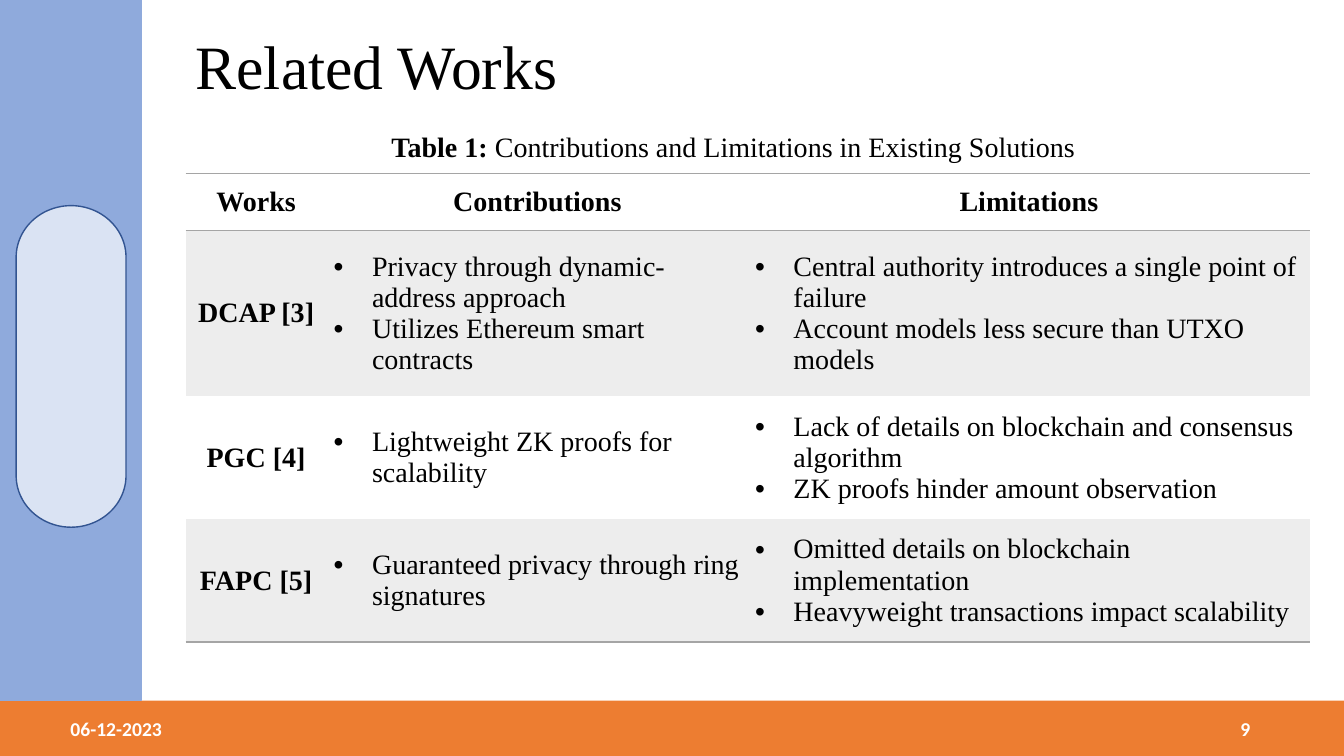
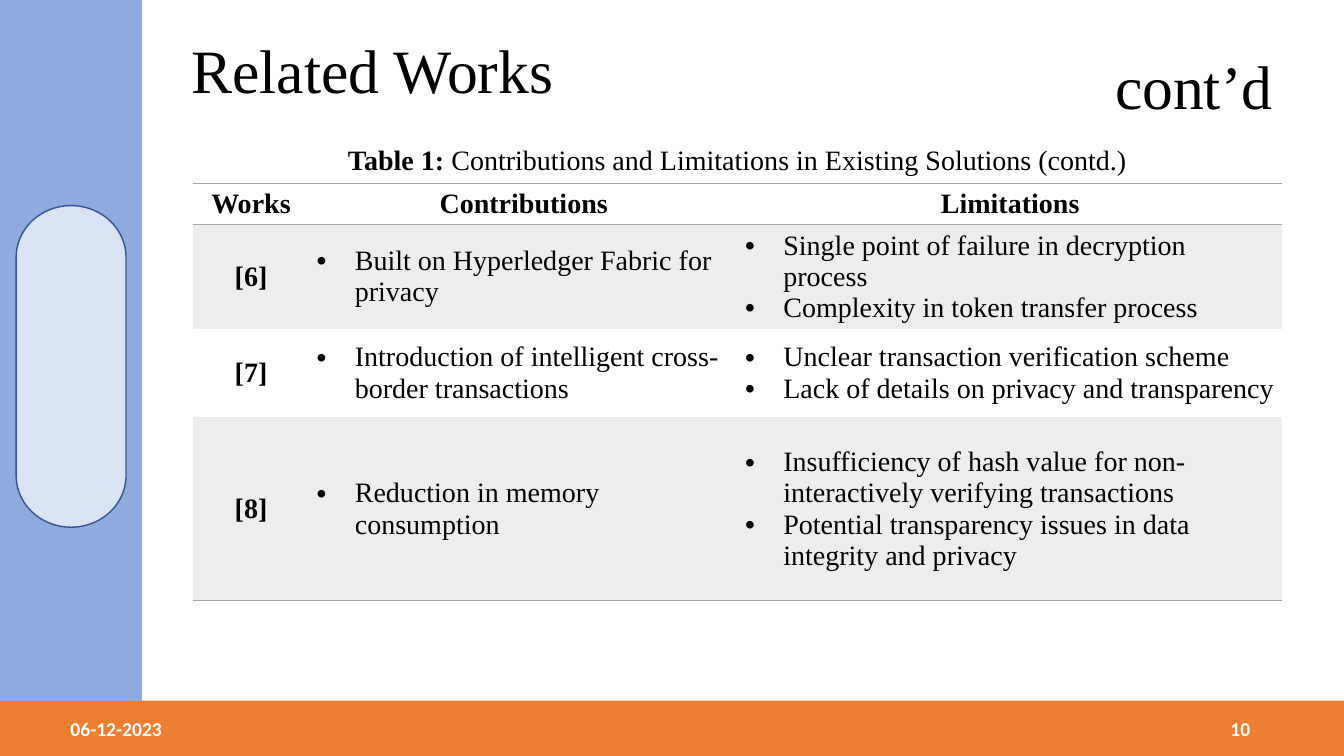
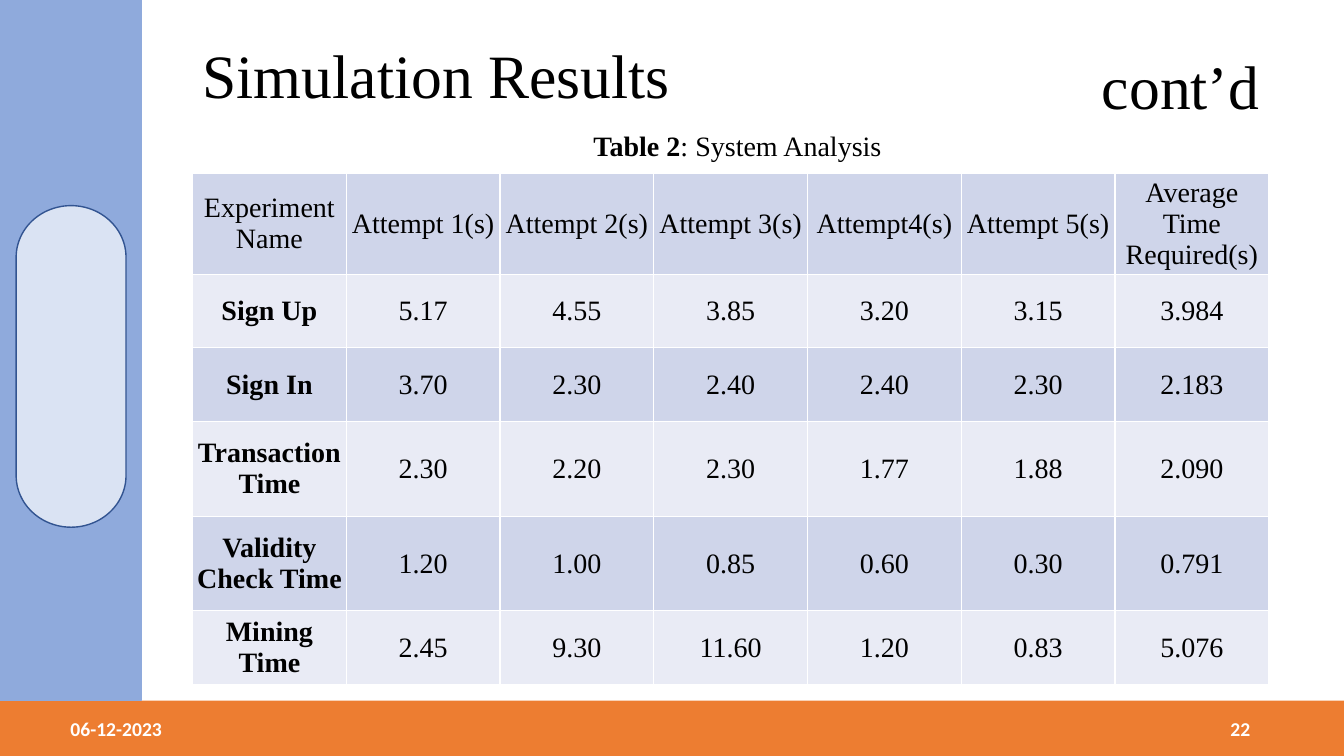
"""Build three table slides on related works and simulation results."""
from lxml.etree import SubElement
from pptx import Presentation
from pptx.dml.color import RGBColor
from pptx.enum.shapes import MSO_SHAPE
from pptx.enum.text import MSO_ANCHOR, MSO_AUTO_SIZE, PP_ALIGN
from pptx.oxml.ns import qn
from pptx.util import Inches, Pt

BLACK = RGBColor(0x00, 0x00, 0x00)
WHITE = RGBColor(0xFF, 0xFF, 0xFF)
ORANGE = RGBColor(0xED, 0x7D, 0x31)
BLUE = RGBColor(0x8F, 0xAA, 0xDC)
PALE = RGBColor(0xDA, 0xE3, 0xF3)
NAVY = RGBColor(0x32, 0x54, 0x91)
GRAY = RGBColor(0xA5, 0xA5, 0xA5)
LIGHT = RGBColor(0xED, 0xED, 0xED)
DARK_BAND = RGBColor(0xCF, 0xD5, 0xEA)
LIGHT_BAND = RGBColor(0xE9, 0xEB, 0xF5)
SERIF, SANS = "Times New Roman", "Calibri"
NO_STYLE = "{2D5ABB26-0587-4C30-8999-92F81FD0307C}"
DATE = "06-12-2023"
HEADS = ("Works", "Contributions", "Limitations")

SLIDES = [
    {
        "page": "9",
        "title": ("Related Works", (1.84, 0.04, 10.66, 1.3)),
        "caption": ("Table 1:", " Contributions and Limitations in Existing Solutions",
                    (2.05, 1.07, 10.45, 0.61)),
        "kind": "works",
        "at": (1.84, 1.72),
        "cols": (1.4, 4.18, 5.57),
        "rows": (0.57, 1.64, 1.22, 1.22),
        "cells": [
            HEADS,
            ("DCAP [3]",
             ["Privacy through dynamic-address approach",
              "Utilizes Ethereum smart contracts"],
             ["Central authority introduces a single point of failure",
              "Account models less secure than UTXO models"]),
            ("PGC [4]",
             ["Lightweight ZK proofs for scalability"],
             ["Lack of details on blockchain and consensus algorithm",
              "ZK proofs hinder amount observation"]),
            ("FAPC [5]",
             ["Guaranteed privacy through ring signatures"],
             ["Omitted details on blockchain implementation",
              "Heavyweight transactions impact scalability"]),
        ],
    },
    {
        "page": "10",
        "title": ("Related Works", (1.8, 0, 5.51, 1.45)),
        "more": 9.74,
        "caption": ("Table 1:",
                    " Contributions and Limitations in Existing Solutions (contd.)",
                    (1.91, 1.2, 10.81, 0.55)),
        "kind": "works",
        "at": (1.91, 1.82),
        "cols": (1.16, 4.25, 5.4),
        "rows": (0.41, 1.03, 0.88, 1.82),
        "cells": [
            HEADS,
            ("[6]",
             ["Built on Hyperledger Fabric for privacy"],
             ["Single point of failure in decryption process",
              "Complexity in token transfer process"]),
            ("[7]",
             ["Introduction of intelligent cross-border transactions"],
             ["Unclear transaction verification scheme",
              "Lack of details on privacy and transparency"]),
            ("[8]",
             ["Reduction in memory consumption"],
             ["Insufficiency of hash value for non-interactively verifying transactions",
              "Potential transparency issues in data integrity and privacy"]),
        ],
    },
    {
        "page": "22",
        "title": ("Simulation Results", (1.91, 0.05, 5.74, 1.45)),
        "more": 9.61,
        "caption": ("Table 2", ": System Analysis", (1.91, 1.06, 10.81, 0.55)),
        "kind": "times",
        "at": (1.91, 1.72),
        "cols": (1.525,) * 7,
        "rows": (0.99, 0.73, 0.73, 0.94, 0.94, 0.73),
        "cells": [
            ("Experiment Name", "Attempt 1(s)", "Attempt 2(s)", "Attempt 3(s)",
             "Attempt4(s)", "Attempt 5(s)", "Average Time Required(s)"),
            ("Sign Up", "5.17", "4.55", "3.85", "3.20", "3.15", "3.984"),
            ("Sign In", "3.70", "2.30", "2.40", "2.40", "2.30", "2.183"),
            ("Transaction Time", "2.30", "2.20", "2.30", "1.77", "1.88", "2.090"),
            ("Validity Check Time", "1.20", "1.00", "0.85", "0.60", "0.30", "0.791"),
            ("Mining Time", "2.45", "9.30", "11.60", "1.20", "0.83", "5.076"),
        ],
    },
]


def write(para, text, size=20, bold=False, font=SERIF, color=BLACK):
    run = para.add_run()
    run.text = text
    run.font.name, run.font.size = font, Pt(size)
    run.font.bold, run.font.color.rgb = bold, color


def add_box(slide, at, align, anchor=MSO_ANCHOR.TOP):
    frame = slide.shapes.add_textbox(*map(Inches, at)).text_frame
    frame.word_wrap, frame.vertical_anchor = True, anchor
    para = frame.paragraphs[0]
    para.alignment = align
    return para


def add_panel(slide, form, at, fill, line=None, turn=0):
    shape = slide.shapes.add_shape(form, *map(Inches, at))
    shape.shadow.inherit = False
    shape.rotation = turn
    shape.fill.solid()
    shape.fill.fore_color.rgb = fill
    if line is None:
        shape.line.fill.background()
    else:
        shape.line.color.rgb, shape.line.width = line, Pt(1)


def add_frame(slide, page):
    add_panel(slide, MSO_SHAPE.RECTANGLE, (0, 6.95, 13.33, 0.55), ORANGE)
    add_panel(slide, MSO_SHAPE.RECTANGLE, (0, 0, 1.4, 6.95), BLUE, BLUE)
    add_panel(slide, MSO_SHAPE.FLOWCHART_TERMINATOR, (-0.89, 3.09, 3.19, 1.09),
              PALE, NAVY, 90)
    for text, left, align in ((DATE, 0.6, PP_ALIGN.LEFT), (page, 9.5, PP_ALIGN.RIGHT)):
        para = add_box(slide, (left, 7.03, 3, 0.4), align, MSO_ANCHOR.MIDDLE)
        write(para, text, 14, True, SANS, WHITE)


def set_title(slide, text, at):
    title = slide.shapes.title
    title.left, title.top, title.width, title.height = map(Inches, at)
    frame = title.text_frame
    frame.auto_size, frame.vertical_anchor = MSO_AUTO_SIZE.NONE, MSO_ANCHOR.MIDDLE
    para = frame.paragraphs[0]
    para.alignment, para.line_spacing = PP_ALIGN.LEFT, 0.9
    write(para, text, 44)


def add_caption(slide, label, text, at):
    para = add_box(slide, at, PP_ALIGN.CENTER)
    para.line_spacing, para.space_after = 1.5, Pt(12)
    write(para, label, bold=True)
    write(para, text)


def set_edges(cell, sides, color):
    props = cell._tc.get_or_add_tcPr()
    for side in sides:
        line = SubElement(props, qn(f"a:ln{side}"), w=str(Pt(1)))
        fill = SubElement(line, qn("a:solidFill"))
        SubElement(fill, qn("a:srgbClr"), val=str(color))


def add_bullet(para):
    props = para._p.get_or_add_pPr()
    props.set("marL", str(Inches(0.38)))
    props.set("indent", str(Inches(-0.38)))
    SubElement(props, qn("a:buFont"), typeface="Arial")
    SubElement(props, qn("a:buChar"), char="•")


def fill_cell(cell, value, bold):
    frame = cell.text_frame
    if isinstance(value, str):
        para = frame.paragraphs[0]
        para.alignment = PP_ALIGN.CENTER
        write(para, value, bold=bold)
        return
    for i, item in enumerate(value):
        para = frame.add_paragraph() if i else frame.paragraphs[0]
        add_bullet(para)
        write(para, item)


def style_cell(cell, kind, row, last):
    if kind == "works":
        sides = "TB" if row == 0 else "B" if row == last else ""
        edge, fill, side = GRAY, LIGHT if row % 2 else None, 0.07
    else:
        sides, edge, side = "LRTB", WHITE, 0.02
        fill = LIGHT_BAND if row % 2 else DARK_BAND
    cell.margin_left = cell.margin_right = Inches(side)
    cell.margin_top = cell.margin_bottom = 0
    cell.vertical_anchor = MSO_ANCHOR.MIDDLE
    set_edges(cell, sides, edge)
    if fill is None:
        cell.fill.background()
    else:
        cell.fill.solid()
        cell.fill.fore_color.rgb = fill


def add_grid(slide, data):
    cols, rows, kind = data["cols"], data["rows"], data["kind"]
    size = (*data["at"], sum(cols), sum(rows))
    table = slide.shapes.add_table(len(rows), len(cols), *map(Inches, size)).table
    table.first_row = table.horz_banding = False
    table._tbl.tblPr.find(qn("a:tableStyleId")).text = NO_STYLE
    for col, width in zip(table.columns, cols):
        col.width = Inches(width)
    for row, height in zip(table.rows, rows):
        row.height = Inches(height)
    for r, line in enumerate(data["cells"]):
        for c, value in enumerate(line):
            cell = table.cell(r, c)
            style_cell(cell, kind, r, len(rows) - 1)
            fill_cell(cell, value, kind == "works" or (c == 0 and r > 0))


def main():
    deck = Presentation()
    deck.slide_width, deck.slide_height = Inches(13.33), Inches(7.5)
    for data in SLIDES:
        slide = deck.slides.add_slide(deck.slide_layouts[5])
        add_frame(slide, data["page"])
        set_title(slide, *data["title"])
        add_grid(slide, data)
        add_caption(slide, *data["caption"])
        if "more" in data:
            para = add_box(slide, (data["more"], 0.43, 2.98, 0.84), PP_ALIGN.RIGHT)
            write(para, "cont’d", 44)
    deck.save("out.pptx")


if __name__ == "__main__":
    main()
